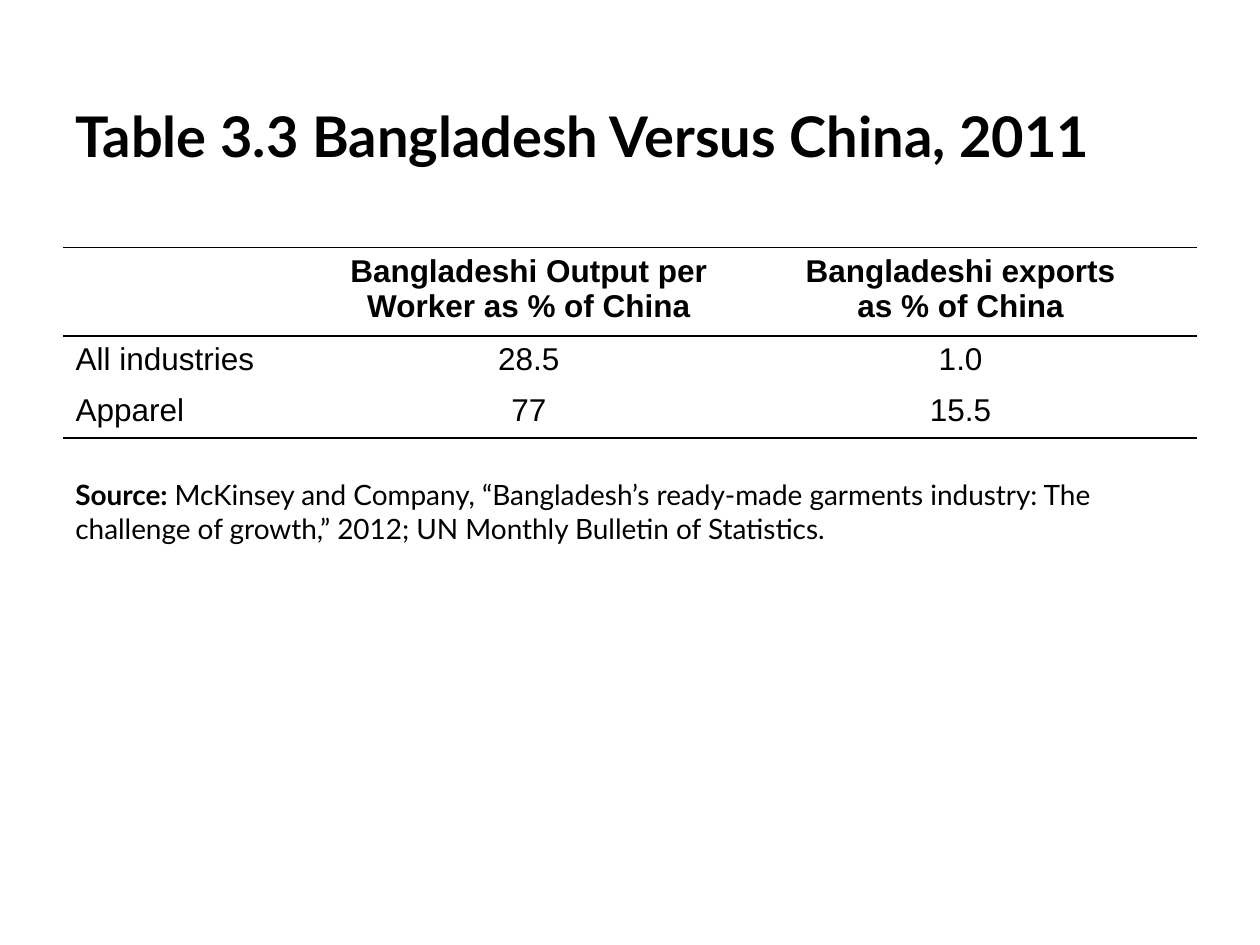
from pptx import Presentation
from pptx.dml.color import RGBColor
from pptx.enum.text import MSO_ANCHOR, PP_ALIGN
from pptx.oxml import parse_xml
from pptx.oxml.ns import nsdecls
from pptx.util import Cm, Pt

COLORS = {"ink": "000000"}
LEFT, WIDTH = 1.27, 22.86
COLUMN_WIDTHS = (5.45, 7.88, 9.53)
ROW_HEIGHTS = (1.69, 1.03, 1.03)
ROWS = (
    ("", "Bangladeshi Output per Worker as % of China",
     "Bangladeshi exports\nas % of China"),
    ("All industries", "28.5", "1.0"),
    ("Apparel", "77", "15.5"),
)
RULED_EDGES = (("lnT", "lnB"), ("lnT",), ("lnB",))


def style_font(font, name, size, bold=False):
    font.name, font.size, font.bold = name, Pt(size), bold
    font.color.rgb = RGBColor.from_string(COLORS["ink"])


def add_text(page, box, parts, size, anchor=MSO_ANCHOR.TOP, inset=0.13):
    """Place one paragraph made of (text, bold) parts."""
    frame = page.shapes.add_textbox(*map(Cm, box)).text_frame
    frame.word_wrap = True
    frame.vertical_anchor = anchor
    frame.margin_left = frame.margin_right = Cm(0.25)
    frame.margin_top = frame.margin_bottom = Cm(inset)
    for text, bold in parts:
        span = frame.paragraphs[0].add_run()
        span.text = text
        style_font(span.font, "Lato", size, bold)


def rule_cell(cell, edges):
    """Draw black rules on the given edges and hide the other horizontal one."""
    properties = cell._tc.get_or_add_tcPr()
    for position, edge in enumerate(("lnL", "lnR", "lnT", "lnB")):
        fill = (f'<a:solidFill><a:srgbClr val="{COLORS["ink"]}"/></a:solidFill>'
                if edge in edges else "<a:noFill/>")
        line = parse_xml(f'<a:{edge} {nsdecls("a")} w="{Pt(1)}">{fill}</a:{edge}>')
        properties.insert(position, line)


def add_comparison_table(page, box):
    table = page.shapes.add_table(
        len(ROWS), len(COLUMN_WIDTHS), *map(Cm, box)).table
    table.first_row = table.horz_banding = False
    for column, width in zip(table.columns, COLUMN_WIDTHS):
        column.width = Cm(width)
    for r, (texts, height, edges) in enumerate(zip(ROWS, ROW_HEIGHTS, RULED_EDGES)):
        table.rows[r].height = Cm(height)
        for c, text in enumerate(texts):
            cell = table.cell(r, c)
            cell.text = text
            cell.fill.background()
            rule_cell(cell, edges)
            for para in cell.text_frame.paragraphs:
                para.alignment = PP_ALIGN.CENTER if c else PP_ALIGN.LEFT
                style_font(para.font, "Arial", 18, r == 0)
                for span in para.runs:
                    style_font(span.font, "Arial", 18, r == 0)


def main():
    deck = Presentation()
    deck.slide_width, deck.slide_height = Cm(25.4), Cm(19.05)
    page = deck.slides.add_slide(deck.slide_layouts[6])
    add_text(page, (LEFT, 0.61, WIDTH, 3.05),
             [("Table 3.3 Bangladesh Versus China, 2011", True)],
             32, MSO_ANCHOR.BOTTOM, 0.25)
    add_comparison_table(page, (LEFT, 4.99, WIDTH, sum(ROW_HEIGHTS)))
    add_text(page, (LEFT, 9.5, WIDTH, 1.93),
             [("Source: ", True),
              ("McKinsey and Company, “Bangladesh’s ready-made garments industry: "
               "The challenge of growth,” 2012; UN Monthly Bulletin of Statistics.",
               False)], 16)
    deck.save("out.pptx")


if __name__ == "__main__":
    main()
